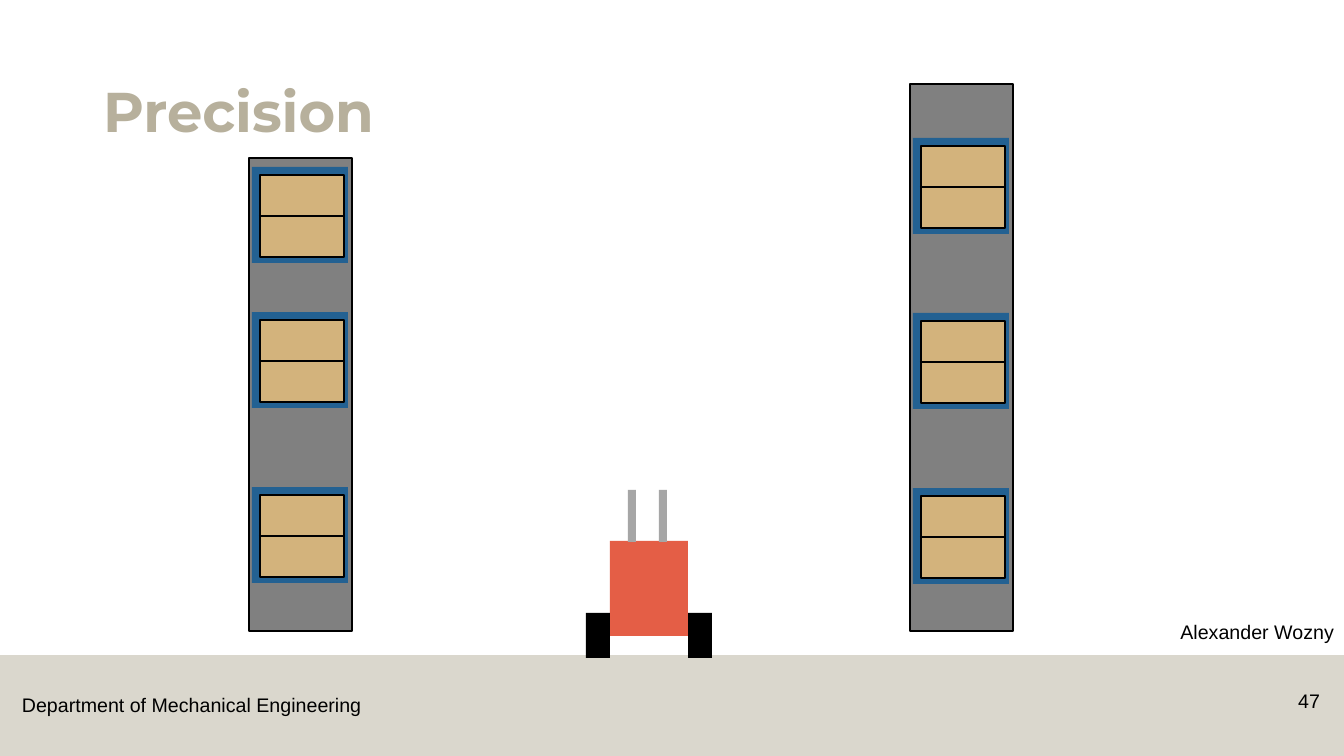
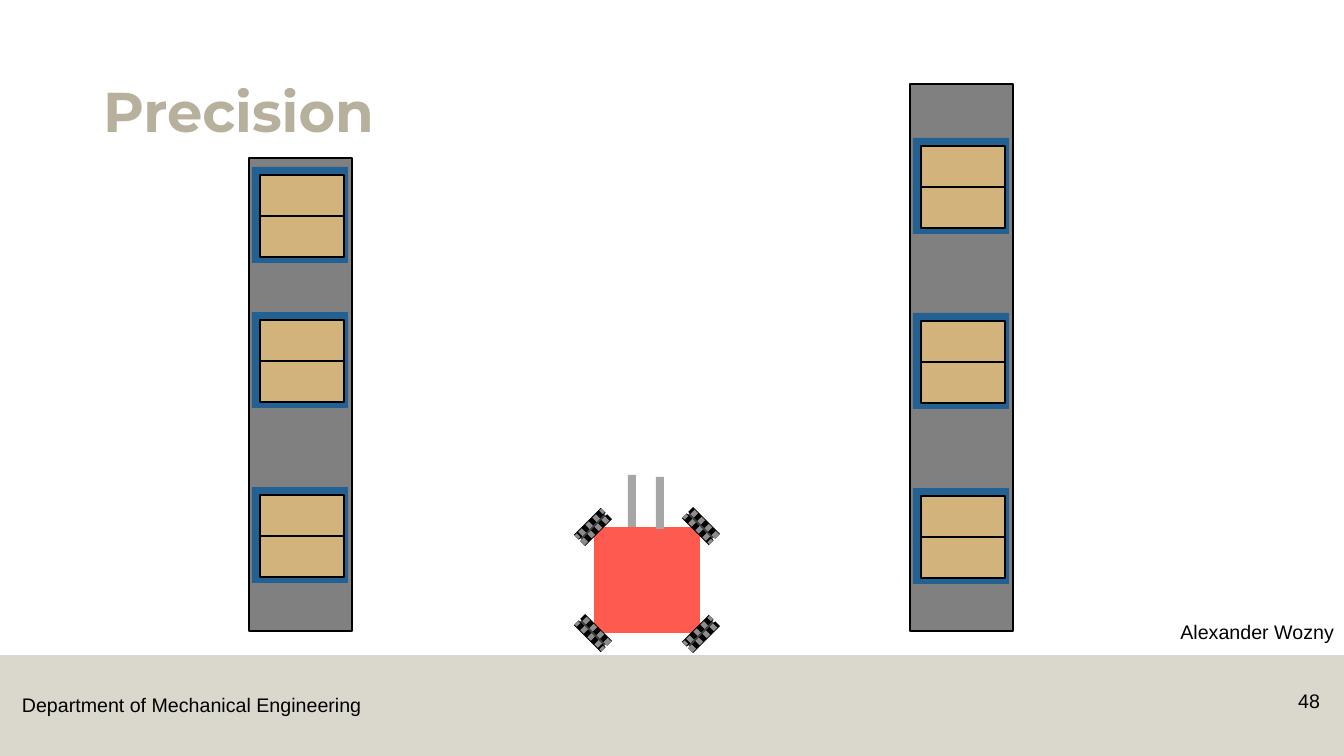
from lxml import etree
from pptx import Presentation
from pptx import util as u
from pptx.dml import color
from pptx.enum import shapes, text
from pptx.oxml import ns

EMU_PER_PX = 914400 / 100.8
WIDTH, HEIGHT = 1344, 756
COLORS = {
    "sand": "B7B09C", "black": "000000", "rack": "808080", "pallet": "236192",
    "carton": "D3B37C", "truck": "E45E46", "robot": "FF5A50", "fork": "A6A6A6",
    "axle": "404040", "tread": "8C8C8C",
}
TITLE = {"name": "Montserrat", "size": u.Pt(40), "bold": True}
LABEL = {"name": "Arial", "size": u.Pt(14), "bold": False}
PALLET = 96
RACK_WIDTH = 103


def px(*lengths):
    return [u.Emu(round(length * EMU_PER_PX)) for length in lengths]


def rgb(name):
    return color.RGBColor.from_string(COLORS[name])


class Deck:
    def __init__(self):
        self.presentation = Presentation()
        self.presentation.slide_width, self.presentation.slide_height = px(WIDTH, HEIGHT)
        self.layout = self.presentation.slide_layouts[5]
        for placeholder in list(self.layout.placeholders)[1:]:
            placeholder.element.getparent().remove(placeholder.element)
        self.slide = None
        self.canvas = None

    def add_slide(self, title, number, author):
        self.slide = self.presentation.slides.add_slide(self.layout)
        self.canvas = self.slide.shapes
        if len(self.presentation.slides) == 1:
            self.footer("Department of Mechanical Engineering")
        self.title(title)
        self.label(str(number), 1252, 684, 78, 40)
        self.label(author, 890, 615, 454, 40)

    def footer(self, department):
        """Draws the band and its text, and hands them to the layout."""
        band = self.box("sand", 0, 655, WIDTH, HEIGHT - 655)
        fill = band.element.spPr.find(ns.qn("a:solidFill"))
        etree.SubElement(fill[0], ns.qn("a:alpha"), val="50000")
        name = self.label(department, 12, 688, 362, 34, text.PP_ALIGN.LEFT, False)
        for shape in (band, name):
            self.layout.shapes.element.append(shape.element)

    def set_text(self, shape, words, font, color_name, align):
        shape.text_frame.text = words
        paragraph = shape.text_frame.paragraphs[0]
        paragraph.alignment = align
        for key, value in font.items():
            setattr(paragraph.runs[0].font, key, value)
        paragraph.runs[0].font.color.rgb = rgb(color_name)
        return paragraph

    def title(self, words):
        shape = self.canvas.title
        shape.left, shape.top, shape.width, shape.height = px(93, 40, 1159, 110)
        paragraph = self.set_text(shape, words, TITLE, "sand", text.PP_ALIGN.LEFT)
        paragraph.line_spacing = 0.9
        shape.text_frame.vertical_anchor = text.MSO_ANCHOR.BOTTOM
        shape.text_frame.auto_size = text.MSO_AUTO_SIZE.NONE

    def label(self, words, left, top, width, height,
              align=text.PP_ALIGN.RIGHT, wrap=True):
        shape = self.canvas.add_textbox(*px(left, top, width, height))
        shape.text_frame.word_wrap = wrap
        self.set_text(shape, words, LABEL, "black", align)
        return shape

    def box(self, fill, left, top, width, height, outlined=False):
        shape = self.canvas.add_shape(shapes.MSO_SHAPE.RECTANGLE,
                                      *px(left, top, width, height))
        shape.shadow.inherit = False
        shape.fill.solid()
        shape.fill.fore_color.rgb = rgb(fill)
        if outlined:
            shape.line.color.rgb = rgb("black")
            shape.line.width = u.Pt(1)
        else:
            shape.line.fill.background()
        return shape

    def line(self, left, right, y):
        connector = self.canvas.add_connector(shapes.MSO_CONNECTOR.STRAIGHT,
                                              *px(left, y, right, y))
        connector.line.color.rgb = rgb("black")
        connector.line.width = u.Pt(1.5)
        etree.SubElement(connector.element.spPr, ns.qn("a:effectLst"))

    def group(self, draw, *values):
        """Calls a drawing method with a new group as the canvas."""
        outer = self.canvas
        group = outer.add_group_shape()
        self.canvas = group.shapes
        draw(*values)
        self.canvas = outer
        return group

    def rack(self, left, top, height, pallet_left, pallet_tops):
        self.box("rack", left, top, RACK_WIDTH, height, True)
        for pallet_top in pallet_tops:
            self.box("pallet", pallet_left, pallet_top, PALLET, PALLET)
            self.box("carton", pallet_left + 8, pallet_top + 8, 84, 82, True)
            self.line(pallet_left + 7, pallet_left + 92, pallet_top + 49)

    def forks(self, *corners):
        for left, top in corners:
            self.box("fork", left, top, 8, 52)

    def truck(self):
        self.box("truck", 610, 541, 78, 95)
        for left in (586, 688):
            self.box("black", left, 613, 24, 45)
        self.forks((628, 490), (659, 490))

    def wheel(self, left, top):
        self.box("axle", left + 5, top + 2, 6, 34)
        for offset in (0, 9):
            self.box("black", left + offset, top, 7, 38)
        # Staggered treads, with a short one at each end
        for row in range(7):
            self.box("tread", left + (1 if row % 2 else 9), top + 3 + 5 * row, 6, 5)
        for offset in (0, 35):
            self.box("tread", left + 1, top + offset, 5, 3)

    def robot(self):
        self.box("robot", 594, 527, 106, 106)
        for x, y, angle in ((701, 526, 315), (593, 633, 315),
                            (701, 634, 45), (593, 527, 45)):
            self.group(self.wheel, x - 8, y - 19).rotation = angle
        self.forks((628, 475), (656, 477))


def main():
    deck = Deck()
    for number, vehicle in enumerate((deck.truck, deck.robot), 47):
        deck.add_slide("Precision", number, "Alexander Wozny")
        # Warehouse seen from above: two racks and the vehicle between them
        deck.group(deck.rack, 910, 84, 547, 913, (138, 313, 488))
        deck.group(vehicle)
        deck.group(deck.rack, 249, 158, 473, 252, (167, 312, 487))
    deck.presentation.save("out.pptx")


if __name__ == "__main__":
    main()
